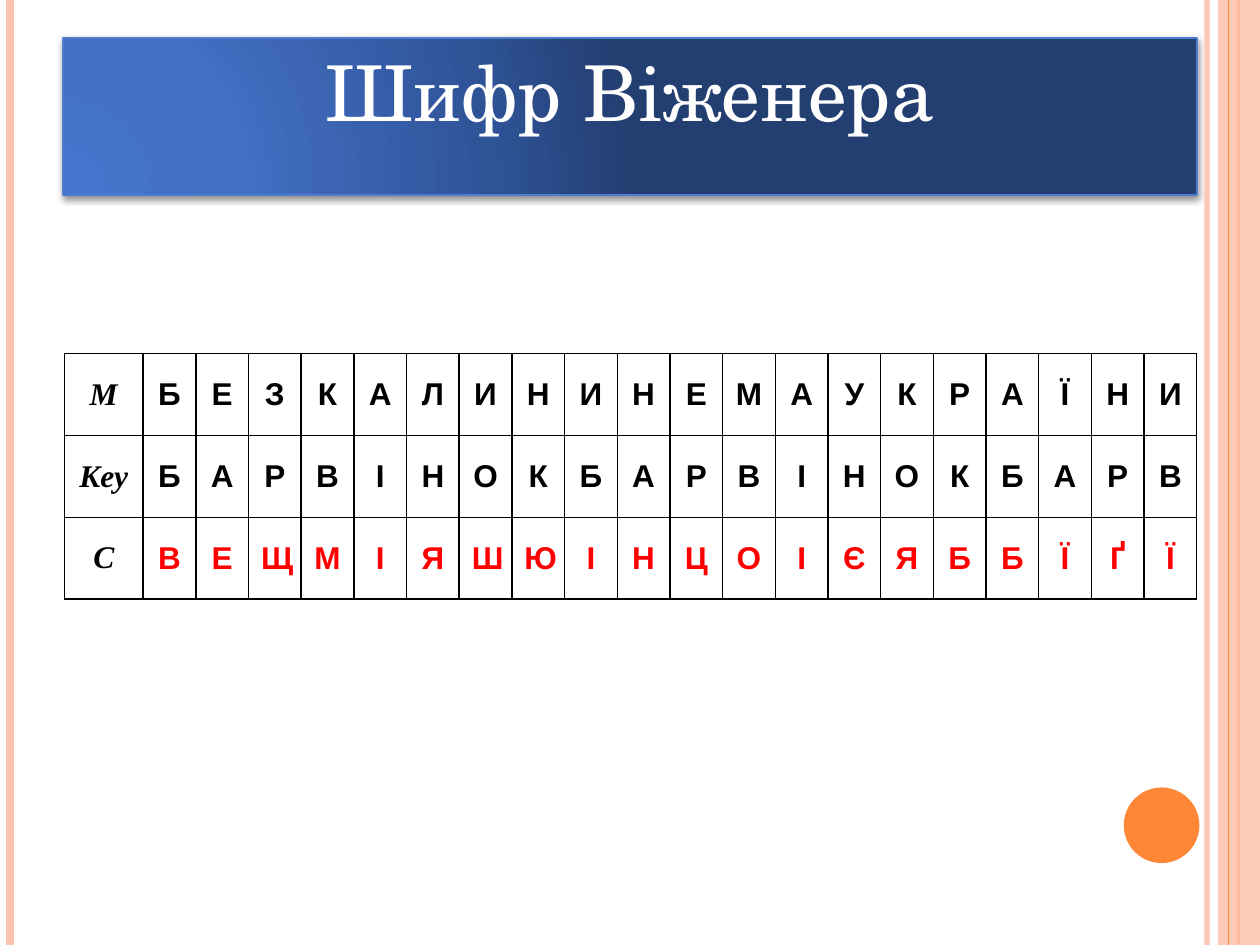
from pptx import Presentation
from pptx.dml.color import RGBColor
from pptx.enum.shapes import MSO_CONNECTOR, MSO_SHAPE
from pptx.enum.text import MSO_ANCHOR, MSO_AUTO_SIZE, PP_ALIGN
from pptx.oxml import parse_xml
from pptx.oxml.ns import qn
from pptx.util import Pt
from lxml.etree import SubElement

TITLE = "Шифр Віженера"
CIPHER_ROWS = [
    ("M", "БЕЗКАЛИНИНЕМАУКРАЇНИ", "000000"),
    ("Key", "БАРВІНОКБАРВІНОКБАРВ", "000000"),
    ("C", "ВЕЩМІЯШЮІНЦОІЄЯББЇҐЇ", "FF0000"),
]
STRIPES = [
    (689.8, "FEC3AE", 3, 93),
    (5.8, "FEC3AE", 4.5, 100),
    (707.8, "FE8637", 1.5, 100),
]
BAND_EDGE = (702, "FE8637", 0.75, 100)
TITLE_STOPS = [(0, "4574CC"), (30, "4370C5"), (75, "2F5397"), (100, "233E70")]
TITLE_FONT = {"name": "TeX Gyre Schola", "size": Pt(44), "bold": False}
LABEL_FONT = {"name": "Times New Roman", "size": Pt(18), "bold": True, "italic": True}
LETTER_FONT = {"name": "Arial", "size": Pt(18), "bold": True, "italic": False}
SLIDE_WIDTH, SLIDE_HEIGHT = 720, 540
LABEL_WIDTH, LETTER_WIDTH, ROW_HEIGHT = 45, 30.12, 46.8
HANGING = Pt(27)
DRAWING = 'xmlns:a="http://schemas.openxmlformats.org/drawingml/2006/main"'


def paint(color_format, hex_color, opacity=100):
    color_format.rgb = RGBColor.from_string(hex_color)
    if opacity < 100:
        color = color_format._xFill.find(qn("a:srgbClr"))
        SubElement(color, qn("a:alpha"), val=str(opacity * 1000))


def write(text_frame, text, font, hex_color):
    paragraph = text_frame.paragraphs[0]
    paragraph.alignment = PP_ALIGN.CENTER
    properties = paragraph._p.get_or_add_pPr()
    properties.set("marL", str(HANGING))
    properties.set("indent", str(-HANGING))
    run = paragraph.add_run()
    run.text = text
    for attribute, value in font.items():
        setattr(run.font, attribute, value)
    paint(run.font.fill_color if hasattr(run.font, "fill_color") else run.font.color, hex_color)


def add_stripe(slide, x, hex_color, width, opacity):
    stripe = slide.shapes.add_connector(
        MSO_CONNECTOR.STRAIGHT, Pt(x), 0, Pt(x), Pt(SLIDE_HEIGHT))
    stripe.line.width = Pt(width)
    stripe.line.fill.solid()
    paint_solid(stripe.line.fill, hex_color, opacity)
    SubElement(stripe._element.spPr, qn("a:effectLst"))


def paint_solid(fill, hex_color, opacity=100):
    fill.solid()
    fill.fore_color.rgb = RGBColor.from_string(hex_color)
    if opacity < 100:
        color = fill._xPr.find(".//" + qn("a:srgbClr"))
        SubElement(color, qn("a:alpha"), val=str(opacity * 1000))


def add_plain_shape(slide, kind, box, hex_color, opacity=100):
    shape = slide.shapes.add_shape(kind, *map(Pt, box))
    shape.shadow.inherit = False
    shape.line.fill.background()
    paint_solid(shape.fill, hex_color, opacity)


def format_title(title):
    title.left, title.top, title.width, title.height = map(Pt, (36, 21.6, 648, 90))
    frame = title.text_frame
    frame.auto_size = MSO_AUTO_SIZE.NONE
    frame.vertical_anchor = MSO_ANCHOR.TOP
    write(frame, TITLE, TITLE_FONT, "FFFFFF")
    title.line.width = Pt(1)
    paint_solid(title.line.fill, "4F7CCF")
    stops = "".join(
        f'<a:gs pos="{position * 1000}"><a:srgbClr val="{color}"/></a:gs>'
        for position, color in TITLE_STOPS)
    properties = title._element.spPr
    properties.insert(1, parse_xml(
        f'<a:gradFill {DRAWING} rotWithShape="1"><a:gsLst>{stops}</a:gsLst>'
        '<a:path path="circle"><a:fillToRect l="5000" t="100000" r="120000" b="10000"/>'
        '</a:path></a:gradFill>'))
    properties.append(parse_xml(
        f'<a:effectLst {DRAWING}><a:outerShdw blurRad="{Pt(4)}" dist="{Pt(1.6)}" '
        'dir="5400000" rotWithShape="0"><a:srgbClr val="000000"><a:alpha val="42000"/>'
        '</a:srgbClr></a:outerShdw></a:effectLst>'))


def format_cell(cell, text, font, hex_color):
    cell.vertical_anchor = MSO_ANCHOR.MIDDLE
    cell.fill.background()
    write(cell.text_frame, text, font, hex_color)
    for order, side in enumerate(("lnL", "lnR", "lnT", "lnB")):
        cell._tc.get_or_add_tcPr().insert(order, parse_xml(
            f'<a:{side} {DRAWING} w="{Pt(1)}"><a:solidFill><a:srgbClr val="000000"/>'
            f'</a:solidFill></a:{side}>'))


def add_cipher_table(slide):
    letter_count = len(CIPHER_ROWS[0][1])
    width = LABEL_WIDTH + letter_count * LETTER_WIDTH
    table = slide.shapes.add_table(
        len(CIPHER_ROWS), letter_count + 1, Pt(36.8), Pt(202),
        Pt(width), Pt(ROW_HEIGHT * len(CIPHER_ROWS))).table
    table.first_row = table.horz_banding = False
    for index, column in enumerate(table.columns):
        column.width = Pt(LETTER_WIDTH if index else LABEL_WIDTH)
    for row, (label, letters, letter_color) in enumerate(CIPHER_ROWS):
        table.rows[row].height = Pt(ROW_HEIGHT)
        format_cell(table.cell(row, 0), label, LABEL_FONT, "000000")
        for column, letter in enumerate(letters, 1):
            format_cell(table.cell(row, column), letter, LETTER_FONT, letter_color)


def main():
    """Build the Vigenère cipher slide."""
    presentation = Presentation()
    presentation.slide_width, presentation.slide_height = Pt(SLIDE_WIDTH), Pt(SLIDE_HEIGHT)
    slide = presentation.slides.add_slide(presentation.slide_layouts[5])
    for stripe in STRIPES:
        add_stripe(slide, *stripe)
    add_plain_shape(slide, MSO_SHAPE.RECTANGLE, (696, 0, 24, SLIDE_HEIGHT), "FEC3AE", 87)
    add_stripe(slide, *BAND_EDGE)
    add_plain_shape(slide, MSO_SHAPE.OVAL, (642.2, 450, 43.2, 43.2), "FE8637")
    add_cipher_table(slide)
    format_title(slide.shapes.title)
    presentation.save("out.pptx")


if __name__ == "__main__":
    main()
